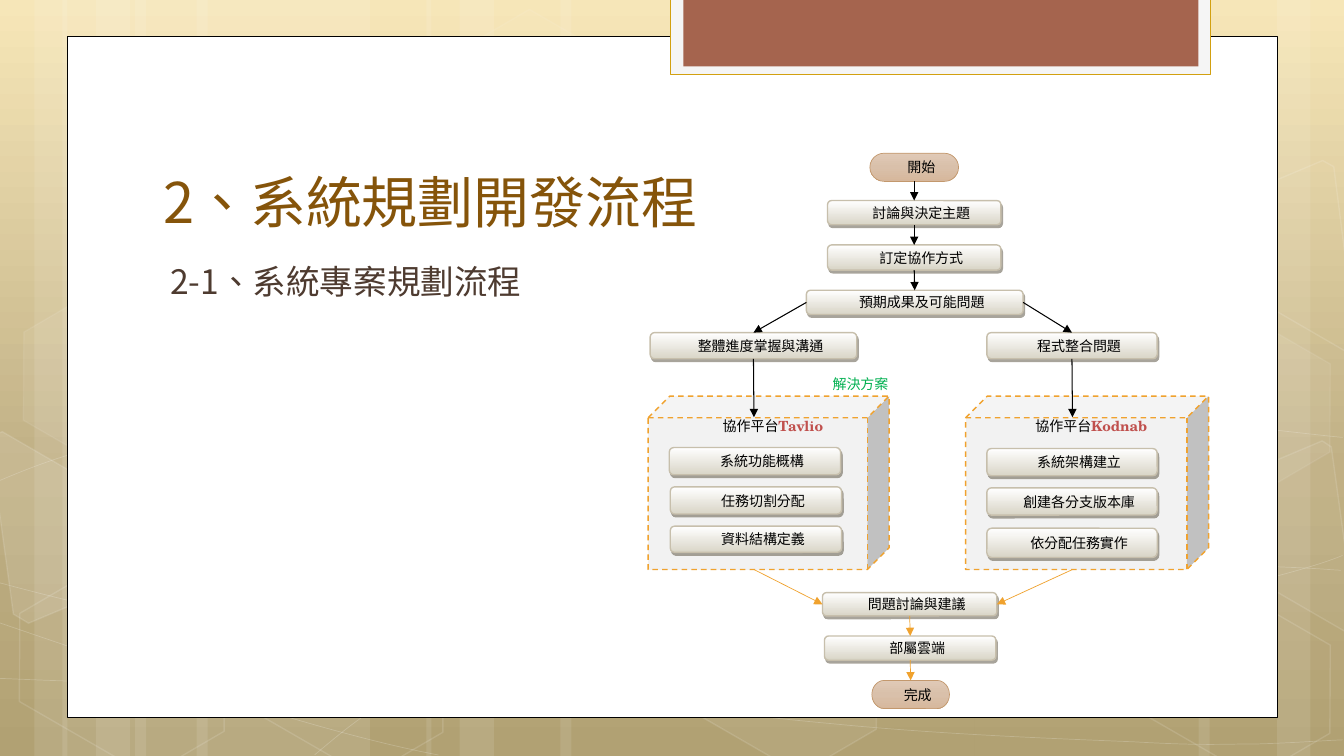
"""Build the slide on the planning and development flow of a project."""
from math import cos, radians, sin
from lxml import etree
from pptx import Presentation
from pptx.dml.color import RGBColor
from pptx.enum import dml, shapes, text
from pptx.oxml.ns import qn
from pptx.util import Inches, Pt

COLOURS = {"white": "FFFFFF", "black": "000000", "gold": "D2A010", "frame": "F5F5F5", "rust": "A5644E",
           "title": "85540A", "subtitle": "4E3B30", "sand": "C7BFAC", "tan": "C3986D", "cube": "F2F2F2",
           "orange": "F0A22E", "red": "C0504D", "green": "00B050", "shadow": "534B38"}
BACKDROP = [(0, "F6E4B0"), (62, "BAA878"), (100, "A99764")]
STEP_FILL = [(0, "FFFFFF"), (100, "D9D5C7")]
END_FILL = [(0, "E0CAB7"), (50, "D9C0AA"), (100, "D6B79C")]
CJK, SERIF = "Noto Sans CJK TC", "TeX Gyre Schola"

BANDS = [(1.34, 2.33), (0, 0.67), (0.34, 1.11), (1.95, 2.33), (0.62, 0.67), (0.95, 1.11),
         (9.67, 2.33), (12.67, 0.67), (11.89, 1.11), (5.56, 4.11), (4.23, 0.67), (4.56, 1.11)]
CURVES = [
    [(-0.01, 6.73), (0.71, 6.76), (1.43, 6.79), (2.43, 6.78), (3.43, 6.77), (4.66, 6.75), (5.99, 6.65),
     (7.33, 6.55), (9.22, 6.36), (10.45, 6.17), (11.67, 5.98), (12.92, 5.68), (13.32, 5.51)],
    [(-0.01, 4.77), (0.37, 4.61), (0.75, 4.46), (1.51, 4.31), (2.27, 4.16), (3.34, 3.94), (4.52, 3.87),
     (5.71, 3.8), (7.14, 3.79), (8.61, 3.87), (10.08, 3.95), (12.52, 4.26), (13.32, 4.34)],
    [(-0.03, 6.17), (1.58, 6.72), (3.19, 7.27), (4.35, 7.49)],
    [(-0.01, 5.78), (0.4, 5.89), (0.82, 6), (1.6, 6.16), (2.37, 6.31), (3.53, 6.56), (4.64, 6.73),
     (5.76, 6.9), (7.16, 7.08), (8.26, 7.18), (9.37, 7.29), (10.55, 7.33), (11.26, 7.36),
     (11.96, 7.4), (12.14, 7.38), (12.49, 7.38), (12.83, 7.37), (13.08, 7.35), (13.32, 7.34)],
    [(3.12, 7.49), (3.36, 7.29), (3.59, 7.09), (3.92, 6.91), (4.24, 6.73), (4.69, 6.53), (5.06, 6.39),
     (5.43, 6.25), (5.66, 6.19), (6.15, 6.09), (6.64, 5.99), (7.54, 5.85), (8, 5.78),
     (8.47, 5.71), (8.54, 5.71), (8.96, 5.69), (9.37, 5.66), (10.02, 5.63), (10.48, 5.62),
     (10.94, 5.61), (11.71, 5.62), (11.71, 5.62), (12, 5.62), (12.3, 5.62), (12.59, 5.62),
     (12.84, 5.63), (13.06, 5.64), (13.18, 5.65), (13.3, 5.66), (13.26, 5.65), (13.3, 5.66)],
]
TILT = 30
HEXAGONS = [(4.34, 0.36, 4, 8), (6.51, 5.89, 6, 12), (0.04, 5.91, 0, 12), (0.08, 3.12, 7, 8),
            (2.21, 5.92, 0, 12), (11.01, 5.93, 0, 12), (11.01, 3.14, 7, 8)]
CUT_HEXAGONS = [
    ((0.37, 5.35), 10, [(-0.11, 4.34), (0.02, 4.28), (1.04, 4.87), (1.16, 5.81), (0.28, 6.18), (0.13, 6.09)]),
    ((13.03, 5.2), 4, [(12.24, 4.74), (13.12, 4.37), (13.21, 4.43), (13.46, 6.25), (13.38, 6.28), (12.36, 5.69)]),
    ((13.03, 2.41), 0, [(12.24, 1.96), (13.12, 1.59), (13.23, 1.65), (13.46, 3.46), (13.38, 3.5), (12.36, 2.91)]),
]
STEPS = {
    "討論與決定主題": (8.21, 1.99, 1.72, 0.24), "訂定協作方式": (8.21, 2.43, 1.72, 0.25),
    "預期成果及可能問題": (8, 2.88, 2.15, 0.24),
    "整體進度掌握與溝通": (6.45, 3.3, 2.05, 0.26), "程式整合問題": (9.79, 3.3, 1.69, 0.26),
    "系統功能概構": (6.64, 4.44, 1.7, 0.27), "任務切割分配": (6.65, 4.83, 1.7, 0.27),
    "資料結構定義": (6.65, 5.22, 1.7, 0.26),
    "系統架構建立": (9.79, 4.45, 1.69, 0.27), "創建各分支版本庫": (9.79, 4.84, 1.69, 0.27),
    "依分配任務實作": (9.79, 5.24, 1.69, 0.29),
    "問題討論與建議": (8.16, 5.88, 1.73, 0.23), "部屬雲端": (8.18, 6.31, 1.7, 0.24),
}
ENDS = {"開始": (8.63, 1.52, 0.88, 0.28, "Quicksand"), "完成": (8.65, 6.75, 0.77, 0.28, "Times New Roman")}
PLATFORMS = [("Tavlio", (6.43, 3.93, 2.39, 1.72)), ("Kodnab", (9.58, 3.93, 2.41, 1.72))]
TOP, LEFT, BOTTOM, RIGHT = range(4)
ARROWS = [
    (("開始", BOTTOM), ("討論與決定主題", TOP), "black"),
    (("討論與決定主題", BOTTOM), ("訂定協作方式", TOP), "black"),
    (("訂定協作方式", BOTTOM), ("預期成果及可能問題", TOP), "black"),
    (("預期成果及可能問題", LEFT), ("整體進度掌握與溝通", TOP), "black"),
    (("預期成果及可能問題", RIGHT), ("程式整合問題", TOP), "black"),
    (("整體進度掌握與溝通", BOTTOM), (7.48, 4.14), "black"),
    (("程式整合問題", BOTTOM), (10.64, 4.14), "black"),
    ((7.48, 5.65), ("問題討論與建議", LEFT), "orange"),
    ((10.64, 5.65), ("問題討論與建議", RIGHT), "orange"),
    (("問題討論與建議", BOTTOM), ("部屬雲端", TOP), "orange"),
    (("部屬雲端", BOTTOM), ("完成", TOP), "orange"),
]


def rgb(name):
    return RGBColor.from_string(COLOURS[name])


def shade(fill, root, stops):
    fill.gradient()
    fill.gradient_angle = 270
    stop_list = next(root.iter(qn("a:gsLst")))
    for stop in list(stop_list):
        stop_list.remove(stop)
    for place, value in stops:
        stop = etree.SubElement(stop_list, qn("a:gs"), pos=str(place * 1000))
        etree.SubElement(stop, qn("a:srgbClr"), val=value)


def paint(part, fill=None, line=None, width=1, fill_alpha=100, line_alpha=100):
    part.shadow.inherit = False
    for paint_fill, name, alpha in ((part.fill, fill, fill_alpha), (part.line.fill, line, line_alpha)):
        if isinstance(name, list):
            shade(paint_fill, part.element, name)
        elif name and alpha:
            paint_fill.solid()
            paint_fill.fore_color.rgb = rgb(name)
        else:
            paint_fill.background()
    if line:
        part.line.width = Pt(width)
    for holder, alpha in ((part.element.spPr, fill_alpha), (part.line._get_or_add_ln(), line_alpha)):
        colour = holder.find(qn("a:solidFill") + "/" + qn("a:srgbClr"))
        if colour is not None and alpha < 100:
            etree.SubElement(colour, qn("a:alpha"), val=str(alpha * 1000))
    return part


def add_part(page, kind, place, **look):
    return paint(page.shapes.add_shape(kind, *map(Inches, place)), **look)


def add_outline(page, points, close, **look):
    corners = [(Inches(x), Inches(y)) for x, y in points]
    builder = page.shapes.build_freeform(*corners[0], scale=1)
    builder.add_line_segments(corners[1:], close=close)
    return paint(builder.convert_to_shape(), line="white", **look)


def bend(outline):
    lines = list(outline.element.iter(qn("a:lnTo")))
    for first in range(0, len(lines), 3):
        curve = etree.Element(qn("a:cubicBezTo"))
        lines[first].addprevious(curve)
        for line in lines[first:first + 3]:
            curve.append(line[0])
            line.getparent().remove(line)


def turn(points, pivot, degrees):
    c, s = cos(radians(degrees)), sin(radians(degrees))
    offsets = [(x - pivot[0], y - pivot[1]) for x, y in points]
    return [(pivot[0] + x * c - y * s, pivot[1] + x * s + y * c) for x, y in offsets]


def write(box, words, size=10, font=SERIF, colour="black", accent="", align="CENTER", anchor="MIDDLE",
          insets=(0, 0, 0, 0), margin=0, indent=0.14, spacing=None):
    frame = box.text_frame
    frame.word_wrap = True
    frame.vertical_anchor = text.MSO_ANCHOR[anchor]
    frame.margin_left, frame.margin_top, frame.margin_right, frame.margin_bottom = map(Inches, insets)
    para = frame.paragraphs[0]
    para.alignment = text.PP_ALIGN[align]
    para.line_spacing = spacing
    properties = para._p.get_or_add_pPr()
    properties.set("marL", str(Inches(margin)))
    properties.set("indent", str(Inches(indent)))
    for part, tint in ((words, colour), (accent, "red")):
        if part:
            span = para.add_run()
            span.text = part
            span.font.size, span.font.name, span.font.bold = Pt(size), font, part == accent
            span.font.color.rgb = rgb(tint)
            span.font._element.set("lang", "zh-TW")
            etree.SubElement(span.font._element, qn("a:ea"), typeface=CJK)


def add_arrow(page, boxes, start, finish, colour):
    points = [(0, 0) if end[0] in boxes else end for end in (start, finish)]
    arrow = page.shapes.add_connector(shapes.MSO_CONNECTOR.STRAIGHT, *map(Inches, points[0] + points[1]))
    for end, join in ((start, arrow.begin_connect), (finish, arrow.end_connect)):
        if end[0] in boxes:
            join(boxes[end[0]], end[1])
    arrow.line.color.rgb = rgb(colour)
    arrow.line.width = Pt(0.75 if colour == "black" else 0.5)
    etree.SubElement(arrow.line._get_or_add_ln(), qn("a:tailEnd"), type="triangle")
    etree.SubElement(arrow.element.spPr, qn("a:effectLst"))


def add_backdrop(page):
    kinds = shapes.MSO_SHAPE
    shade(page.background.fill, page.element, BACKDROP)
    for left, width in BANDS:
        add_part(page, kinds.RECTANGLE, (left, 0, width, 7.5), fill="white", fill_alpha=10)
    for curve in CURVES:
        bend(add_outline(page, curve, False, width=0.5, line_alpha=20))
    for left, top, alpha, edge in HEXAGONS:
        hexagon = add_part(page, kinds.HEXAGON, (left, top, 2.34, 1.52), fill="white", line="white",
                           fill_alpha=alpha, line_alpha=edge)
        hexagon.adjustments[0] = 0.285
        hexagon.rotation = TILT
    for pivot, alpha, points in CUT_HEXAGONS:
        add_outline(page, turn(points, pivot, -TILT), True, fill="white", fill_alpha=alpha,
                    line_alpha=12).rotation = TILT
    add_part(page, kinds.RECTANGLE, (0.67, 0.36, 12, 6.76), fill="white", line="black", width=0.5)
    add_part(page, kinds.RECTANGLE, (6.65, -0.02, 5.36, 0.76), fill="frame", line="gold")
    add_part(page, kinds.RECTANGLE, (6.78, -0.02, 5.11, 0.68), fill="rust")


def add_flow(page):
    kinds, boxes = shapes.MSO_SHAPE, {}
    for name, place in PLATFORMS:
        cube = add_part(page, kinds.CUBE, place, fill="cube", line="orange")
        cube.adjustments[0] = 0.125
        cube.line.dash_style = dml.MSO_LINE.DASH
        write(cube, "協作平台", accent=name, anchor="TOP", insets=(0.16, 0, 0, 0))
    for label, place in STEPS.items():
        boxes[label] = step = add_part(page, kinds.ROUNDED_RECTANGLE, place, fill=STEP_FILL, line="sand")
        effects = step.element.spPr.find(qn("a:effectLst"))
        shadow = etree.SubElement(effects, qn("a:outerShdw"), dist=str(Pt(2.2)), dir=str(63 * 60000))
        tint = etree.SubElement(shadow, qn("a:srgbClr"), val=COLOURS["shadow"])
        etree.SubElement(tint, qn("a:alpha"), val="50000")
        write(step, label)
    for label, (*place, font) in ENDS.items():
        boxes[label] = add_part(page, kinds.FLOWCHART_TERMINATOR, place, fill=END_FILL, line="tan", width=0.5)
        write(boxes[label], label, font=font)
    for start, finish, colour in ARROWS:
        add_arrow(page, boxes, start, finish, colour)


def main():
    deck = Presentation()
    deck.slide_width, deck.slide_height = Inches(40 / 3), Inches(7.5)
    page = deck.slides.add_slide(deck.slide_layouts[6])
    add_backdrop(page)
    title, subtitle, solution = (page.shapes.add_textbox(*map(Inches, place)) for place in (
        (1.52, 1.12, 10.24, 1.25), (1.52, 2.54, 10.27, 3.84), (7.79, 3.63, 2.64, 0.35)))
    write(title, "2、系統規劃開發流程", size=40, font=CJK, colour="title", align="LEFT", anchor="BOTTOM",
          insets=(0.1, 0.05, 0.1, 0.03), indent=0, spacing=0.9)
    write(subtitle, "2-1、系統專案規劃流程", size=24, font=CJK, colour="subtitle", align="LEFT", anchor="TOP",
          insets=(0.1, 0.09, 0.1, 0.05), margin=0.07, indent=0, spacing=0.9)
    write(solution, "解決方案", colour="green", align="JUSTIFY", margin=0.33)
    add_flow(page)
    deck.save("out.pptx")


if __name__ == "__main__":
    main()
